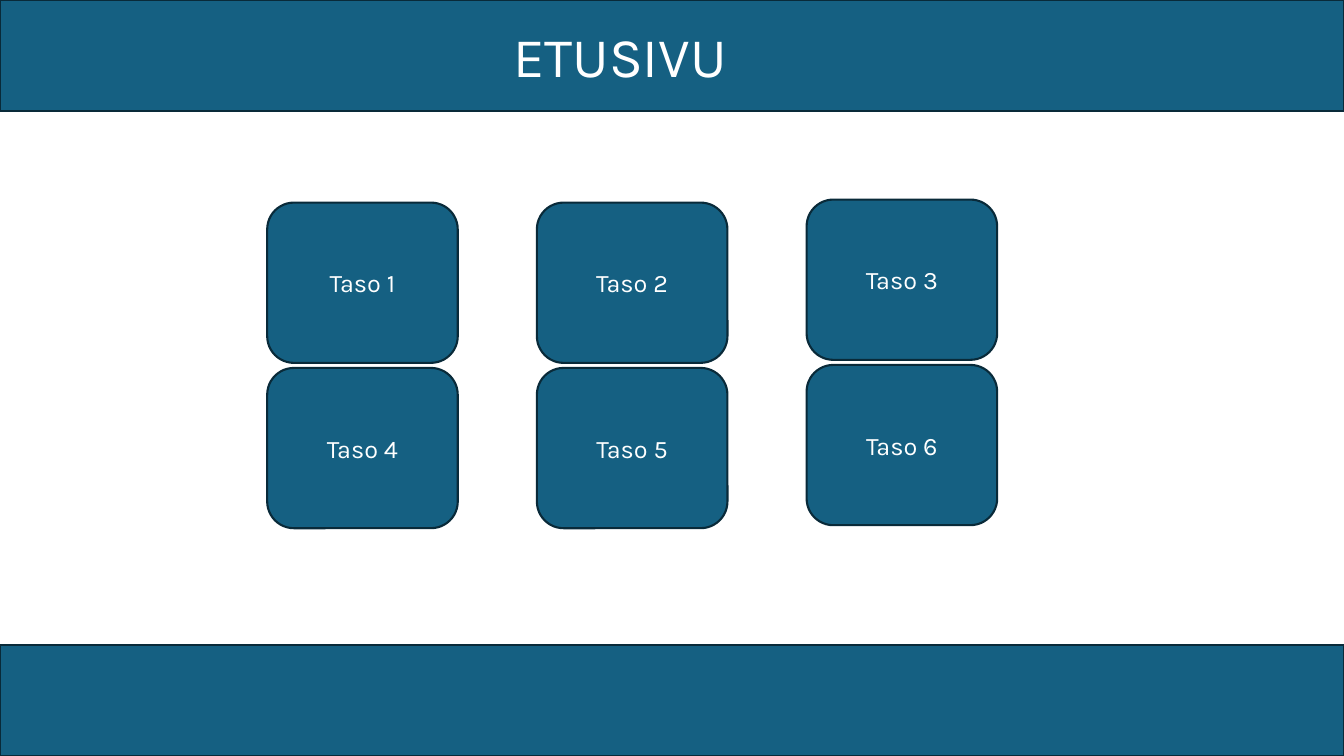
import pptx
import pptx.util
import pptx.dml.color
import pptx.enum.shapes
import pptx.enum.text

# Content
TITLE = "ETUSIVU"
LEVELS = [
    ["Taso 1", "Taso 2", "Taso 3"],
    ["Taso 4", "Taso 5", "Taso 6"],
]

# Colours and font
BLUE = pptx.dml.color.RGBColor(0x15, 0x60, 0x82)
DARK = pptx.dml.color.RGBColor(0x09, 0x2A, 0x39)
WHITE = pptx.dml.color.RGBColor(0xFF, 0xFF, 0xFF)
FONT = "Karla"

# Grid, in inches
WIDE, HIGH = 13.33, 7.5
BAND = 1.1
LEFT, TOP = 2.65, 2.01
STEP_X, STEP_Y = 2.675, 1.64
CARD_W, CARD_H = 1.89, 1.59
LIFT = [0, 0, 0.03]  # the last column sits slightly higher

KIND = pptx.enum.shapes.MSO_SHAPE
ALIGN = pptx.enum.text.PP_ALIGN
MIDDLE = pptx.enum.text.MSO_ANCHOR.MIDDLE
inch = pptx.util.Inches


def put_text(shape, text, size=18, align=ALIGN.CENTER, anchor=MIDDLE):
    frame = shape.text_frame
    frame.word_wrap = True
    frame.vertical_anchor = anchor
    para = frame.paragraphs[0]
    para.alignment = align
    run = para.add_run()
    run.text = text
    run.font.size = pptx.util.Pt(size)
    run.font.name = FONT
    run.font.color.rgb = WHITE


def add_box(slide, kind, x, y, w, h):
    box = slide.shapes.add_shape(kind, inch(x), inch(y), inch(w), inch(h))
    box.shadow.inherit = False
    box.fill.solid()
    box.fill.fore_color.rgb = BLUE
    box.line.color.rgb = DARK
    box.line.width = pptx.util.Pt(1.5)
    return box


def main():
    deck = pptx.Presentation()
    deck.slide_width, deck.slide_height = inch(WIDE), inch(HIGH)
    slide = deck.slides.add_slide(deck.slide_layouts[6])

    # Top and bottom bands
    for y in (0, HIGH - BAND):
        add_box(slide, KIND.RECTANGLE, 0, y, WIDE, BAND)

    # Level cards
    for row, names in enumerate(LEVELS):
        for col, name in enumerate(names):
            x = LEFT + col * STEP_X
            y = TOP + row * STEP_Y - LIFT[col]
            card = add_box(slide, KIND.ROUNDED_RECTANGLE, x, y, CARD_W, CARD_H)
            put_text(card, name)

    # Title
    title = slide.shapes.add_textbox(inch(4.99), inch(0.16), inch(2.43), inch(0.77))
    put_text(title, TITLE, size=40, align=ALIGN.LEFT,
             anchor=pptx.enum.text.MSO_ANCHOR.TOP)
    title.text_frame.auto_size = pptx.enum.text.MSO_AUTO_SIZE.SHAPE_TO_FIT_TEXT

    deck.save("out.pptx")


if __name__ == "__main__":
    main()
